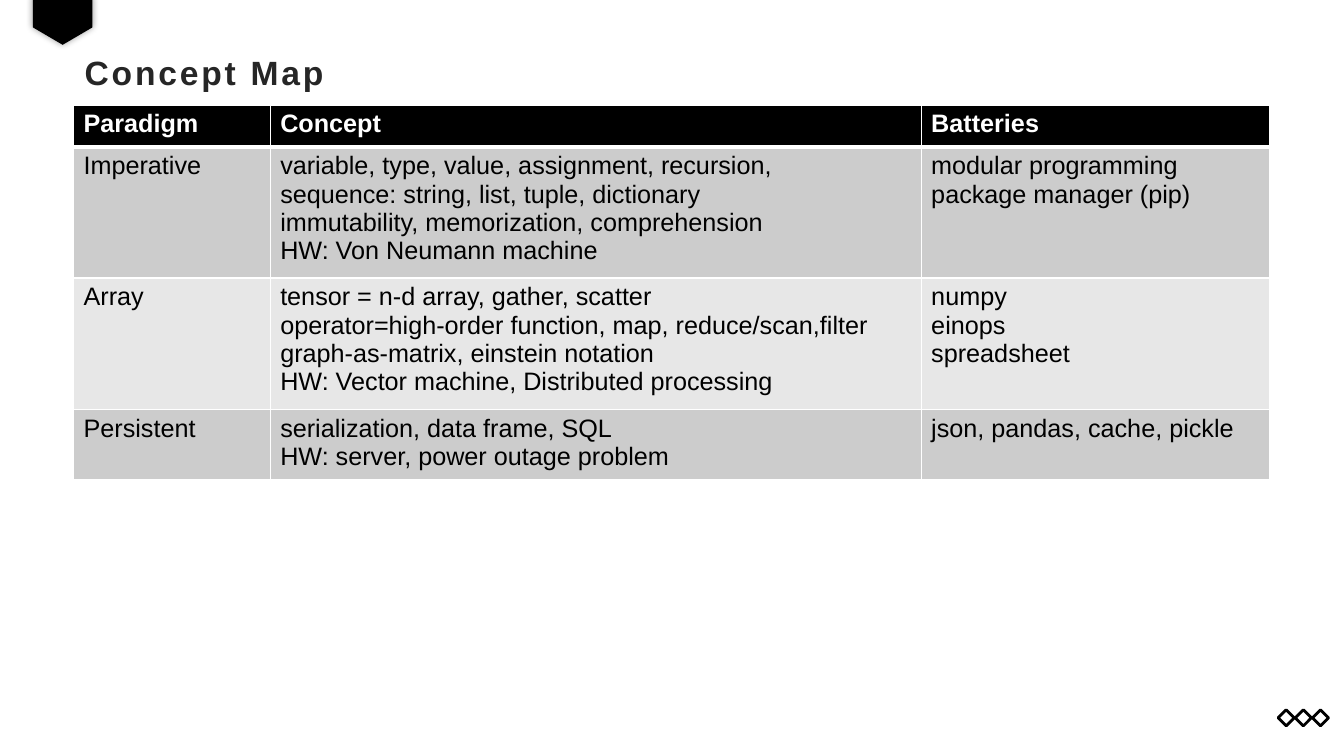
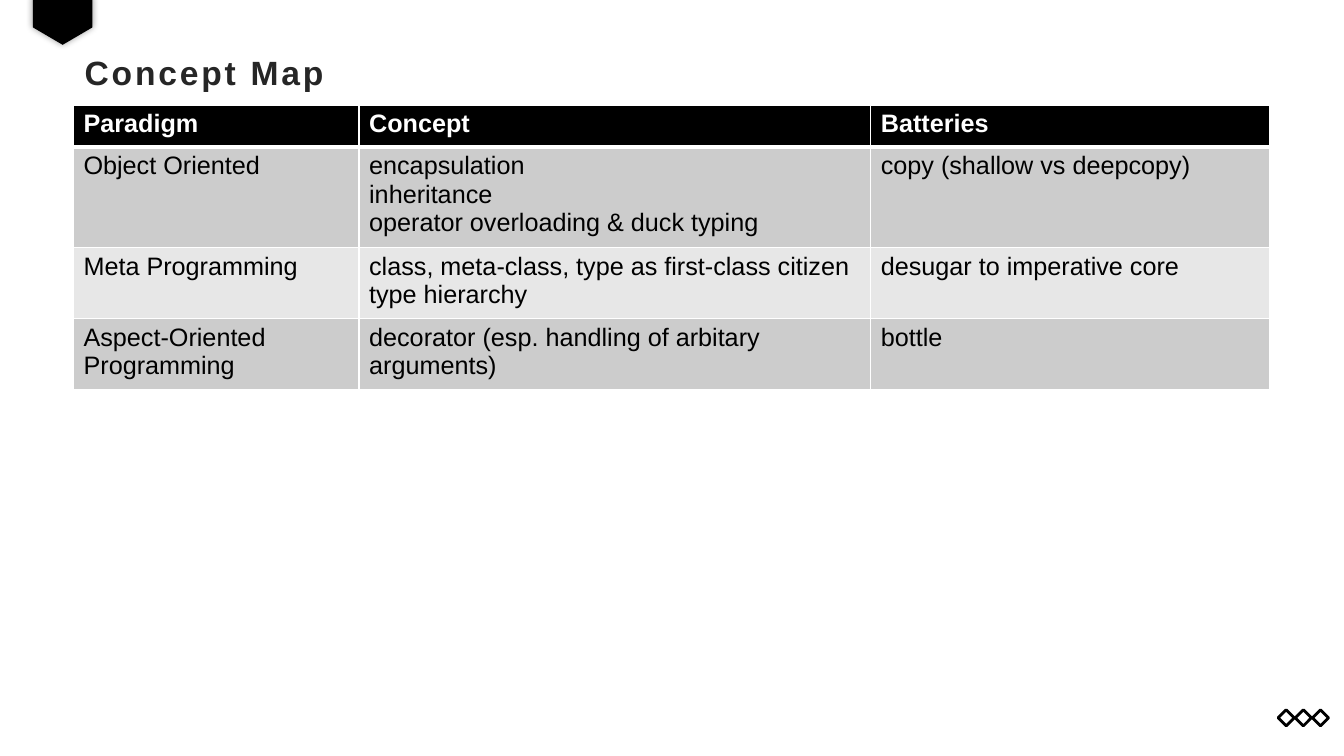
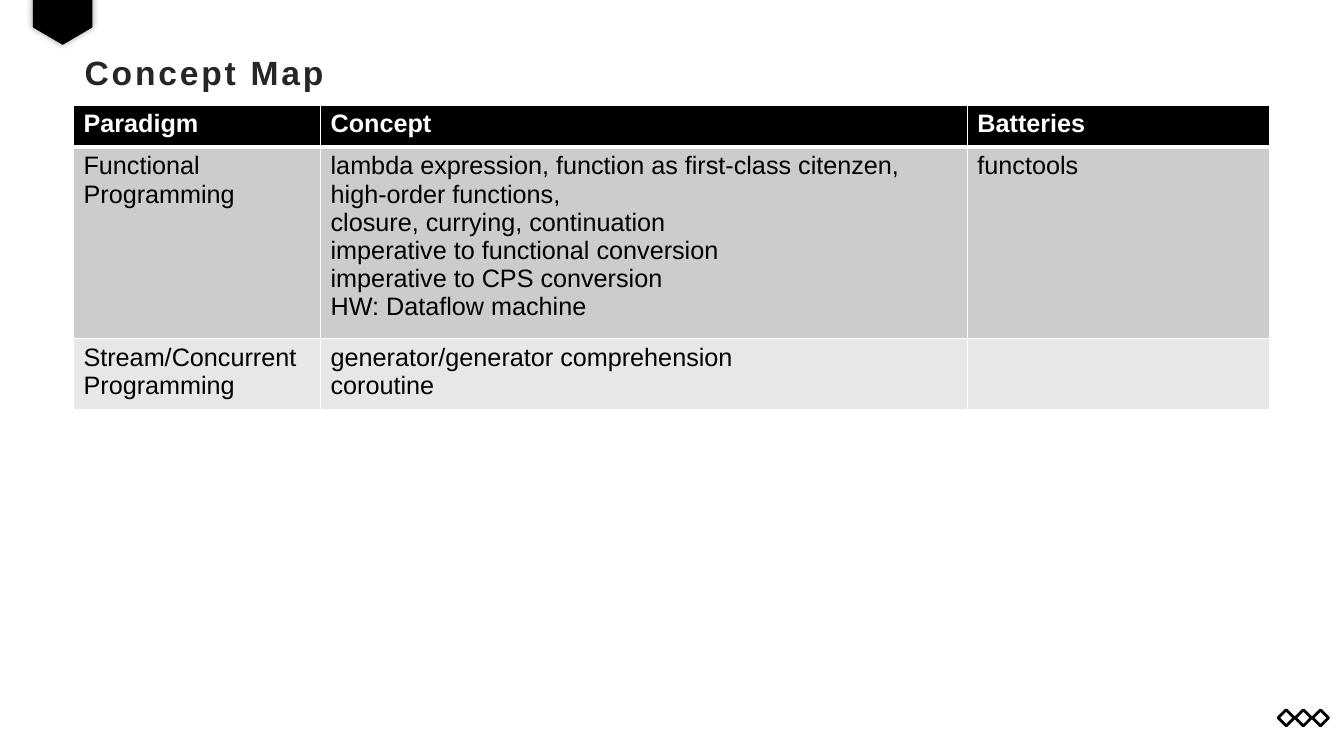
from dataclasses import dataclass

from lxml import etree
from pptx import Presentation
from pptx.dml.color import RGBColor
from pptx.enum import shapes, text
from pptx.oxml import ns
from pptx.util import Pt

FONT = "Arial"
COLORS = {
    "black": "000000",
    "white": "FFFFFF",
    "title": "262626",
    "odd": "CCCCCC",
    "even": "E7E7E7",
}
LEFT, WIDTH = 52.5, 854.5
TABLE_TOP = 75
HEADER = ("Paradigm", "Concept", "Batteries")
HEADER_HEIGHT = 30


@dataclass(frozen=True)
class Row:
    height: float
    cells: tuple[str, str, str]


@dataclass(frozen=True)
class ConceptMap:
    widths: tuple[float, float, float]
    rows: tuple[Row, ...]


CONCEPT_MAPS = (
    ConceptMap((140.5, 465, 249), (
        Row(88, ("Imperative",
                 "variable, type, value, assignment, recursion,\n"
                 "sequence: string, list, tuple, dictionary\n"
                 "immutability, memorization, comprehension\n"
                 "HW: Von Neumann machine",
                 "modular programming\npackage manager (pip)")),
        Row(93.5, ("Array",
                   "tensor = n-d array, gather, scatter\n"
                   "operator=high-order function, map, reduce/scan,filter\n"
                   "graph-as-matrix, einstein notation\n"
                   "HW: Vector machine, Distributed processing",
                   "numpy\neinops\nspreadsheet")),
        Row(47, ("Persistent",
                 "serialization, data frame, SQL\nHW: server, power outage problem",
                 "json, pandas, cache, pickle")),
    )),
    ConceptMap((204, 365.5, 285), (
        Row(72, ("Object Oriented",
                 "encapsulation\ninheritance\noperator overloading & duck typing",
                 "copy (shallow vs deepcopy)")),
        Row(50.5, ("Meta Programming",
                   "class, meta-class, type as first-class citizen\ntype hierarchy",
                   "desugar to imperative core")),
        Row(50.5, ("Aspect-Oriented Programming",
                   "decorator (esp. handling of arbitary arguments)",
                   "bottle")),
    )),
    ConceptMap((176.5, 462, 216), (
        Row(128, ("Functional Programming",
                  "lambda expression, function as first-class citenzen, high-order functions,\n"
                  "closure, currying, continuation\n"
                  "imperative to functional conversion\n"
                  "imperative to CPS conversion\n"
                  "HW: Dataflow machine",
                  "functools")),
        Row(47, ("Stream/Concurrent Programming",
                 "generator/generator comprehension\ncoroutine",
                 "")),
    )),
)


def rgb(name: str) -> RGBColor:
    return RGBColor.from_string(COLORS[name])


def add_run(p, content: str, size: float, color: str, bold: bool):
    r = p.add_run()
    r.text = content
    r.font.name, r.font.size, r.font.bold = FONT, Pt(size), bold
    r.font.color.rgb = rgb(color)
    return r


def add_solid(parent, color: str):
    fill = etree.SubElement(parent, ns.qn("a:solidFill"))
    return etree.SubElement(fill, ns.qn("a:srgbClr"), val=COLORS[color])


def add_soft_shadow(sp) -> None:
    effects = sp._element.spPr.find(ns.qn("a:effectLst"))
    shadow = etree.SubElement(effects, ns.qn("a:outerShdw"),
                              blurRad=str(Pt(5)), dist="0", dir="0")
    color = etree.SubElement(shadow, ns.qn("a:srgbClr"), val=COLORS["black"])
    etree.SubElement(color, ns.qn("a:alpha"), val="40000")


# Marks and title shared by all slides
def draw_frame(s, title: str) -> None:
    for i in range(3):
        sp = s.shapes.add_shape(shapes.MSO_SHAPE.DIAMOND, Pt(913 + 12.25 * i), Pt(507),
                                Pt(11.5), Pt(11.5))
        sp.shadow.inherit = False
        sp.fill.background()
        sp.line.color.rgb = rgb("black")
        sp.line.width = Pt(2)

    sp = s.shapes.add_shape(shapes.MSO_SHAPE.PENTAGON, Pt(27.5), Pt(-6.5), Pt(34.5), Pt(42.5))
    sp.rotation = 90
    sp.adjustments[0] = 0.36
    sp.fill.solid()
    sp.fill.fore_color.rgb = rgb("black")
    sp.line.fill.background()
    sp.shadow.inherit = False
    add_soft_shadow(sp)

    tf = s.shapes.add_textbox(Pt(LEFT), Pt(34.5), Pt(WIDTH), Pt(34.5)).text_frame
    tf.word_wrap = True
    tf.vertical_anchor = text.MSO_ANCHOR.MIDDLE
    tf.margin_left, tf.margin_right = Pt(8), Pt(6)
    tf.margin_top = tf.margin_bottom = Pt(3)
    r = add_run(tf.paragraphs[0], title, 24, "title", True)
    r.font._element.set("spc", "200")


def set_borders(cell, top: float, bottom: float) -> None:
    tc_pr = cell._tc.get_or_add_tcPr()
    sides = (("a:lnL", 1), ("a:lnR", 1), ("a:lnT", top), ("a:lnB", bottom))
    for i, (tag, width) in enumerate(sides):
        line = etree.Element(ns.qn(tag), w=str(Pt(width)))
        add_solid(line, "white")
        tc_pr.insert(i, line)


def draw_table(s, concept_map: ConceptMap) -> None:
    rows = (Row(HEADER_HEIGHT, HEADER), *concept_map.rows)
    table = s.shapes.add_table(len(rows), len(HEADER), Pt(LEFT), Pt(TABLE_TOP), Pt(WIDTH),
                               Pt(sum(row.height for row in rows))).table
    table.horz_banding = False
    for column, width in zip(table.columns, concept_map.widths):
        column.width = Pt(width)
    for i, row in enumerate(rows):
        table.rows[i].height = Pt(row.height)
        is_header = i == 0
        fill = "black" if is_header else "odd" if i % 2 else "even"
        for j, content in enumerate(row.cells):
            cell = table.cell(i, j)
            cell.fill.solid()
            cell.fill.fore_color.rgb = rgb(fill)
            set_borders(cell, top=3 if i == 1 else 1, bottom=3 if is_header else 1)
            tf = cell.text_frame
            for k, line in enumerate(content.splitlines()):
                p = tf.add_paragraph() if k else tf.paragraphs[0]
                add_run(p, line, 18, "white" if is_header else "black", is_header)


def main() -> None:
    prs = Presentation()
    prs.slide_width, prs.slide_height = Pt(960), Pt(540)
    for concept_map in CONCEPT_MAPS:
        s = prs.slides.add_slide(prs.slide_layouts[6])
        draw_frame(s, "Concept Map")
        draw_table(s, concept_map)
    prs.save("out.pptx")


if __name__ == "__main__":
    main()
